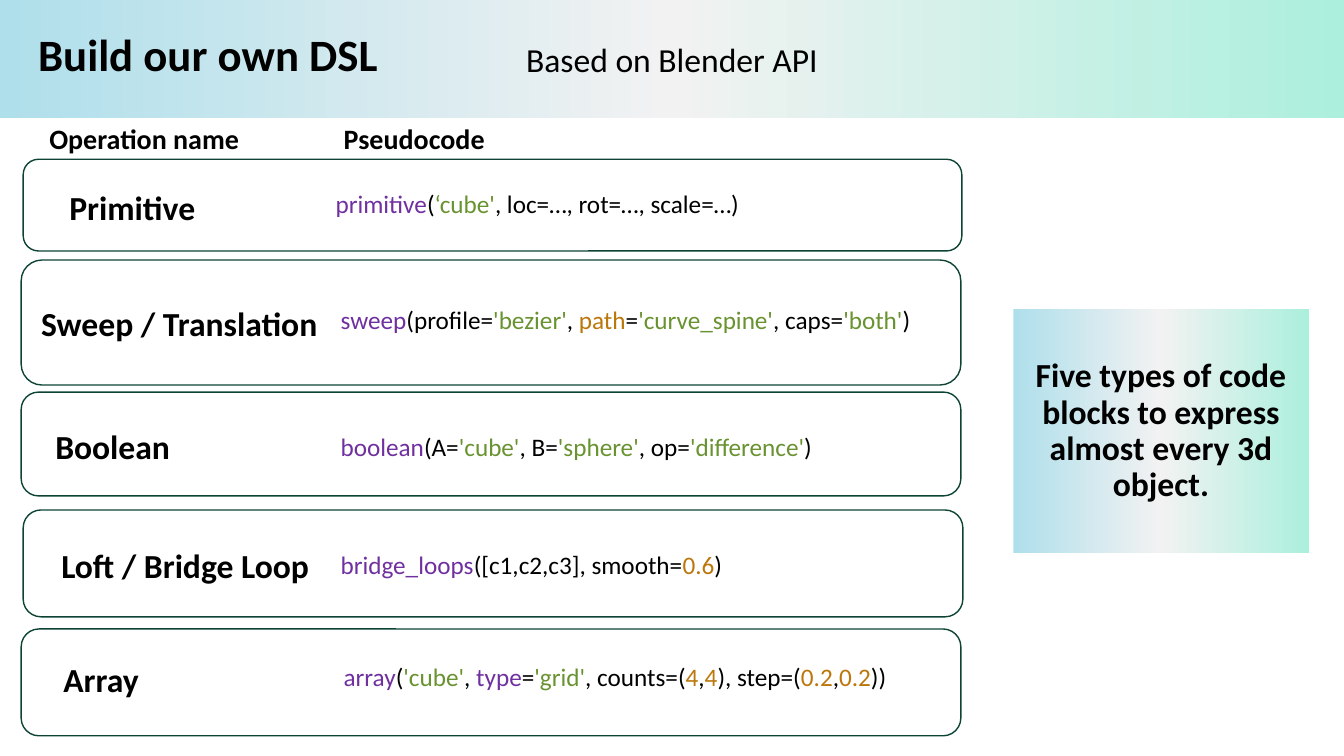
import copy

import pptx
import pptx.util
import pptx.dml.color
import pptx.enum.shapes
import pptx.enum.text
from pptx.util import Inches

HUES = {
    "ink": "000000",
    "paper": "FFFFFF",
    "edge": "0D4335",
    "sky": "AFDFEB",
    "mist": "F2F2F2",
    "mint": "ACEFDD",
    "call": "7030A0",
    "str": "699331",
    "num": "BC770B",
}
KINDS = pptx.enum.shapes.MSO_SHAPE
ALIGN = pptx.enum.text.PP_ALIGN
ANCHOR = pptx.enum.text.MSO_ANCHOR

ROWS = [
    ((0.23, 1.58, 9.31, 0.91), "Primitive", (0.59, 1.85), (3.23, 1.82), [
        ("call", "primitive"), ("ink", "("), ("str", "‘cube'"),
        ("ink", ", loc=…, rot=…, scale=…)")]),
    ((0.21, 2.58, 9.32, 1.24), "Sweep / Translation", (0.31, 3), (3.28, 2.97), [
        ("call", "sweep"), ("ink", "(profile="), ("str", "'bezier'"),
        ("ink", ", "), ("num", "path"), ("ink", "="),
        ("str", "'curve_spine'"), ("ink", ", caps="), ("str", "'both'"),
        ("ink", ")")]),
    ((0.21, 3.89, 9.32, 1.03), "Boolean", (0.45, 4.22), (3.28, 4.23), [
        ("call", "boolean"), ("ink", "(A="), ("str", "'cube'"),
        ("ink", ", B="), ("str", "'sphere'"), ("ink", ", op="),
        ("str", "'difference'"), ("ink", ")")]),
    ((0.23, 5.06, 9.32, 1.06), "Loft / Bridge Loop", (0.51, 5.4), (3.28, 5.4), [
        ("call", "bridge_loops"), ("ink", "([c1,c2,c3], smooth="),
        ("num", "0.6"), ("ink", ")")]),
    ((0.21, 6.24, 9.32, 1.06), "Array", (0.53, 6.53), (3.31, 6.51), [
        ("call", "array"), ("ink", "("), ("str", "'cube'"), ("ink", ", "),
        ("call", "type"), ("ink", "="), ("str", "'grid'"),
        ("ink", ", counts=("), ("num", "4"), ("ink", ","), ("num", "4"),
        ("ink", "), step=("), ("num", "0.2"), ("ink", ","), ("num", "0.2"),
        ("ink", "))")]),
]


def tint(name):
    return pptx.dml.color.RGBColor.from_string(HUES[name])


def style(para, size, bold=False, align=ALIGN.LEFT, hue="ink"):
    para.alignment = align
    para.line_spacing = 0.9 if bold else 1.0
    font = para.font
    font.name = "Calibri"
    font.size = pptx.util.Pt(size)
    font.bold = bold
    if hue:
        font.color.rgb = tint(hue)


def add_box(slide, area):
    box = slide.shapes.add_textbox(*map(Inches, area))
    box.text_frame.word_wrap = True
    return box.text_frame


def add_label(slide, area, text, size, bold=True, align=ALIGN.LEFT):
    frame = add_box(slide, area)
    para = frame.paragraphs[0]
    para.text = text
    style(para, size, bold, align)
    return frame


def add_code(slide, area, parts):
    para = add_box(slide, area).paragraphs[0]
    style(para, 18, hue=None)
    for hue, text in parts:
        run = para.add_run()
        run.text = text
        run.font.color.rgb = tint(hue)


def add_card(slide, area):
    card = slide.shapes.add_shape(KINDS.ROUNDED_RECTANGLE, *map(Inches, area))
    card.shadow.inherit = False
    card.fill.solid()
    card.fill.fore_color.rgb = tint("paper")
    card.line.color.rgb = tint("edge")
    card.line.width = pptx.util.Pt(1)


def add_blend(slide, area):
    panel = slide.shapes.add_shape(KINDS.RECTANGLE, *map(Inches, area))
    panel.shadow.inherit = False
    panel.line.fill.background()
    fill = panel.fill
    fill.gradient()
    fill.gradient_angle = 0
    first = fill.gradient_stops[0]._gs
    first.addnext(copy.deepcopy(first))
    for stop, spot, hue in zip(fill.gradient_stops, (0, 0.5, 1), ("sky", "mist", "mint")):
        stop.position = spot
        stop.color.rgb = tint(hue)
    return panel.text_frame


def main():
    deck = pptx.Presentation()
    deck.slide_width = Inches(13.33)
    deck.slide_height = Inches(7.5)
    slide = deck.slides.add_slide(deck.slide_layouts[6])

    add_blend(slide, (0, 0, 13.33, 1.17))
    title = add_label(slide, (0.28, 0.11, 8.9, 0.91), "Build our own DSL", 32)
    title.vertical_anchor = ANCHOR.MIDDLE
    add_label(slide, (4.38, 0.34, 4.57, 0.5), "Based on Blender API", 24, False, ALIGN.CENTER)
    add_label(slide, (0.39, 1.19, 2.11, 0.4), "Operation name", 20)
    add_label(slide, (3.31, 1.19, 2.11, 0.4), "Pseudocode", 20)

    for card, name, left, right, parts in ROWS:
        add_card(slide, card)
        add_label(slide, (*left, 3.3, 0.4), name, 24)
        add_code(slide, (*right, 6.5, 0.4), parts)

    note = add_blend(slide, (10.05, 3.07, 2.93, 2.42))
    note.word_wrap = True
    note.vertical_anchor = ANCHOR.MIDDLE
    para = note.paragraphs[0]
    para.text = "Five types of code blocks to express almost every 3d object."
    style(para, 24, True, ALIGN.CENTER)

    deck.save("out.pptx")


if __name__ == "__main__":
    main()
